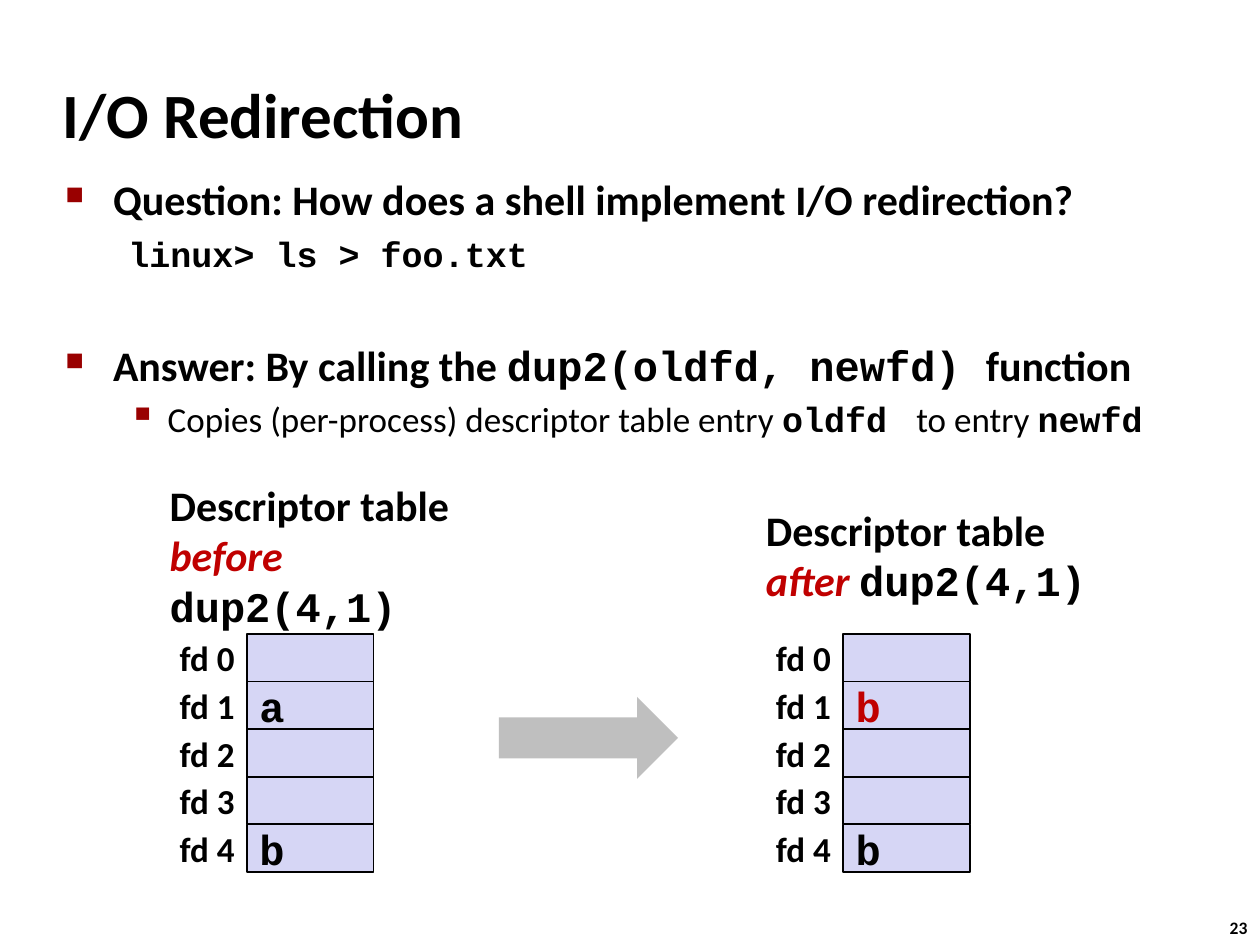
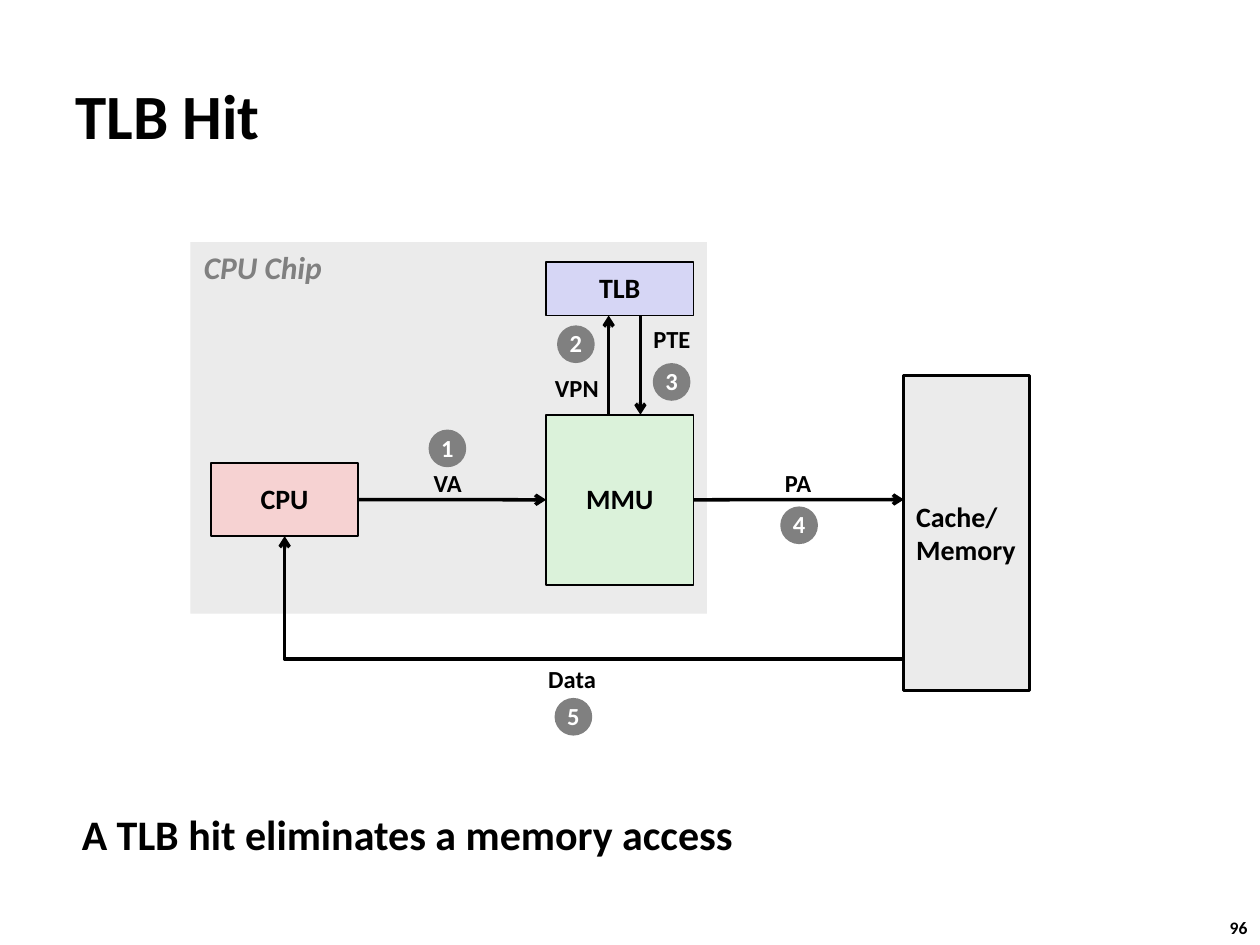
from pptx import Presentation
from pptx.dml.color import RGBColor
from pptx.enum.shapes import MSO_CONNECTOR, MSO_SHAPE
from pptx.enum.text import MSO_ANCHOR, PP_ALIGN
from pptx.oxml.ns import qn
from pptx.util import Cm, Pt
from lxml import etree

RECT, OVAL, ARROW = MSO_SHAPE.RECTANGLE, MSO_SHAPE.OVAL, MSO_SHAPE.RIGHT_ARROW
LINE, BENT = MSO_CONNECTOR.STRAIGHT, MSO_CONNECTOR.ELBOW
TOP, MID = MSO_ANCHOR.TOP, MSO_ANCHOR.MIDDLE
LEFT, MIDST, RIGHT = PP_ALIGN.LEFT, PP_ALIGN.CENTER, PP_ALIGN.RIGHT

BLACK, WHITE, RED, MAROON = "000000", "FFFFFF", "C00000", "990000"
LILAC, PINK, GREEN = "D6D6F5", "F6D2D2", "DBF2DA"
PALE, SILVER, GRAY = "EBEBEB", "BFBFBF", "808080"
SANS, MONO = "Calibri", "Courier New"
BASE = {"name": SANS, "size": 16, "bold": True, "italic": False, "color": BLACK}
CODE = {"name": MONO}
PLAIN = {"bold": False}
TITLE, HEAD, SUB = {"size": 36}, {"size": 24}, {"size": 20}
NOTE, FOOT = {"size": 14}, {"size": 10}
CAPTION = {"size": 18, "italic": True, "color": GRAY}


def shade(code):
    return RGBColor.from_string(code)


def style(font, form):
    for key, value in {**BASE, **form}.items():
        if key == "color":
            font.color.rgb = shade(value)
        else:
            setattr(font, key, Pt(value) if key == "size" else value)


def write(para, runs, form):
    if isinstance(runs, str):
        runs = [(runs, {})]
    for text, extra in runs:
        run = para.add_run()
        run.text = text
        style(run.font, {**form, **extra})


def fill_text(shape, lines, form, align=LEFT, anchor=MID, wrap=False, gap=None):
    frame = shape.text_frame
    frame.word_wrap = wrap
    frame.vertical_anchor = anchor
    for i, runs in enumerate(lines):
        para = frame.add_paragraph() if i else frame.paragraphs[0]
        para.alignment = align
        if gap:
            para.line_spacing = gap
        write(para, runs, form)


def add_text(slide, box, lines, form, **opts):
    shape = slide.shapes.add_textbox(*map(Cm, box))
    fill_text(shape, lines, form, **opts)
    return shape


def add_box(slide, kind, box, color, edge=None):
    shape = slide.shapes.add_shape(kind, *map(Cm, box))
    shape.shadow.inherit = False
    shape.fill.solid()
    shape.fill.fore_color.rgb = shade(color)
    if edge:
        shape.line.color.rgb = shade(BLACK)
        shape.line.width = Pt(edge)
    else:
        shape.line.fill.background()
    return shape


def add_arrow(slide, kind, start, end):
    wire = slide.shapes.add_connector(kind, *map(Cm, (*start, *end)))
    wire.line.color.rgb = shade(BLACK)
    wire.line.width = Pt(2)
    props = wire._element.spPr
    etree.SubElement(props.find(qn("a:ln")), qn("a:tailEnd"), type="arrow")
    etree.SubElement(props, qn("a:effectLst"))
    if kind == BENT:
        props.find(qn("a:prstGeom")).set("prst", "bentConnector2")
    return wire


def add_slide(deck, title, box, page):
    slide = deck.slides.add_slide(deck.slide_layouts[6])
    add_text(slide, box, [title], TITLE, wrap=True)
    add_text(slide, (24.54, 18.36, 0.94, 0.69), [page], FOOT, anchor=TOP)
    return slide


def add_points(slide, box, points):
    frame = slide.shapes.add_textbox(*map(Cm, box)).text_frame
    frame.word_wrap = True
    for i, (runs, form, left, hang, mark, scale, space) in enumerate(points):
        para = frame.add_paragraph() if i else frame.paragraphs[0]
        props = para._p.get_or_add_pPr()
        props.set("marL", str(Cm(left)))
        props.set("indent", str(-Cm(hang)))
        if mark:
            tint = etree.SubElement(props, qn("a:buClr"))
            etree.SubElement(tint, qn("a:srgbClr"), val=MAROON)
            etree.SubElement(props, qn("a:buSzPct"), val=str(scale * 1000))
            etree.SubElement(props, qn("a:buChar"), char=mark)
        if space:
            para.space_before = Pt(space)
        write(para, runs, form)


def add_table_view(slide, left, top, word, cells):
    wide, high = 2.55, 0.96
    call = [(word, {"color": RED, "italic": True}), ("dup2(4,1)", CODE)]
    add_text(slide, (left + 0.74, top, 7.3, 2.31), ["Descriptor table", call], HEAD)
    for i in range(5):
        y = top + 2.75 + i * high
        add_text(slide, (left, y, wide, high), [f"fd {i}"], SUB, align=RIGHT)
        cell = add_box(slide, RECT, (left + wide, y, wide, high), LILAC, 1)
        if i in cells:
            text, color = cells[i]
            fill_text(cell, [text], {**HEAD, **CODE, "color": color})


def add_chip(slide, left, top):
    def at(x, y):
        return left + x, top + y

    def block(name, x, y, wide, high, color):
        shape = add_box(slide, RECT, (*at(x, y), wide, high), color, 1)
        fill_text(shape, [name], {}, align=MIDST, gap=0.98)
        return shape

    add_box(slide, RECT, (left, top, 10.41, 7.49), PALE)
    add_text(slide, (*at(0.02, 0), 2.95, 1.02), ["CPU Chip"], CAPTION, anchor=TOP)
    cpu = block("CPU", 0.41, 4.45, 2.97, 1.48, PINK)
    mmu = block("MMU", 7.17, 3.48, 2.97, 3.43, GREEN)
    block("TLB", 7.17, 0.41, 2.97, 1.07, LILAC)
    cache = add_box(slide, RECT, (*at(14.38, 2.69), 2.54, 6.35), PALE, 1.5)
    fill_text(cache, ["Cache/", "Memory"], {})

    wire = add_arrow(slide, LINE, at(3.38, 5.19), at(7.17, 5.19))
    wire.begin_connect(cpu, 3)
    wire.end_connect(mmu, 1)
    wire = add_arrow(slide, LINE, at(10.14, 5.19), at(14.38, 5.19))
    wire.begin_connect(mmu, 3)
    add_arrow(slide, LINE, at(8.43, 3.48), at(8.43, 1.48))
    add_arrow(slide, LINE, at(9.07, 1.48), at(9.07, 3.48))
    add_arrow(slide, BENT, at(14.38, 8.41), at(1.9, 5.93))

    steps = [
        ("VA", 4.65, 4.45, 1.07, 4.8, 3.78),
        ("VPN", 7.09, 2.54, 1.4, 7.39, 1.68),
        ("PTE", 9.07, 1.55, 1.27, 9.32, 2.44),
        ("PA", 11.73, 4.45, 1.04, 11.89, 5.33),
        ("Data", 6.96, 8.41, 1.47, 7.34, 9.19),
    ]
    for i, (name, x, y, wide, dot_x, dot_y) in enumerate(steps, 1):
        add_text(slide, (*at(x, y), wide, 0.84), [name], NOTE, align=MIDST, gap=0.98)
        dot = add_box(slide, OVAL, (*at(dot_x, dot_y), 0.76, 0.76), GRAY)
        fill_text(dot, [str(i)], {**NOTE, "color": WHITE}, align=MIDST, gap=0.98)


def add_redirect(deck):
    slide = add_slide(deck, "I/O Redirection", (1.02, 1.22, 21.08, 2.11), "23")
    answer = [("Answer: By calling the ", {}), ("dup2(oldfd, newfd) ", CODE), ("function", {})]
    copy = [
        ("Copies (per-process) descriptor table entry ", PLAIN),
        ("oldfd ", CODE),
        (" to entry ", PLAIN),
        ("newfd", CODE),
    ]
    add_points(slide, (1.07, 3.38, 23.06, 5.28), [
        ("Question: How does a shell implement I/O redirection?", HEAD, 0.96, 0.96, "■", 60, 0),
        ("linux> ls > foo.txt", {**SUB, **CODE}, 2.06, 0.79, None, 0, 5),
        (answer, HEAD, 0.96, 0.96, "■", 60, 37),
        (copy, SUB, 2.06, 0.79, "▪", 110, 4),
    ])
    add_table_view(slide, 2.43, 10.03, "before ", {1: ("a", BLACK), 4: ("b", BLACK)})
    add_table_view(slide, 14.45, 10.03, "after ", {1: ("b", RED), 4: ("b", BLACK)})
    add_box(slide, ARROW, (10.06, 14.05, 3.61, 1.65), SILVER)


def add_hit(deck):
    slide = add_slide(deck, "TLB Hit", (1.27, 1.22, 24.1, 2.18), "96")
    add_chip(slide, 3.84, 4.88)
    claim = "A TLB hit eliminates a memory access"
    add_text(slide, (1.4, 16.18, 19.96, 1.6), [claim], HEAD, anchor=TOP, wrap=True)


def main():
    deck = Presentation()
    deck.slide_width, deck.slide_height = Cm(25.4), Cm(19.05)
    add_redirect(deck)
    add_hit(deck)
    deck.save("out.pptx")


if __name__ == "__main__":
    main()
